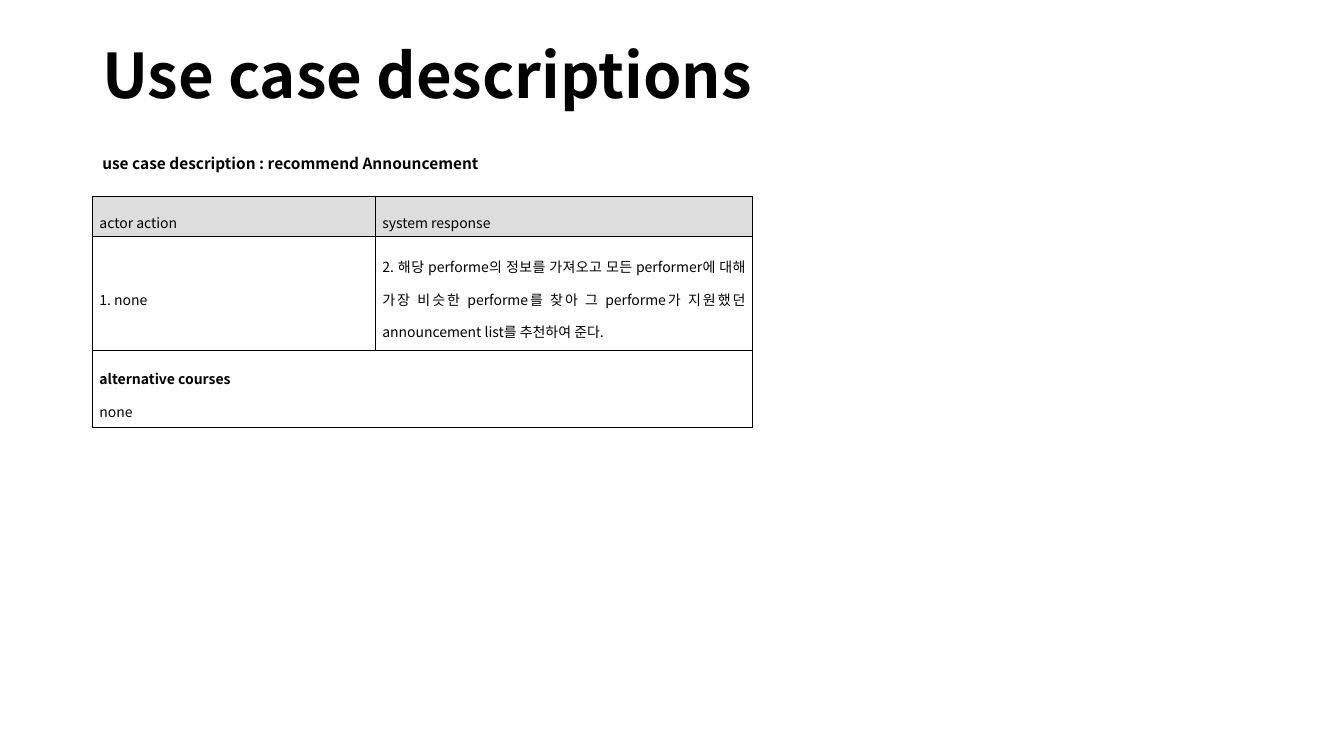
from lxml.etree import SubElement
from pptx import Presentation
from pptx.dml.color import RGBColor
from pptx.enum.text import MSO_ANCHOR, PP_ALIGN
from pptx.oxml.ns import qn
from pptx.util import Pt

COLORS = {"ink": "000000", "header": "DDDDDD"}
FONT = "Noto Sans CJK KR"


def style_paragraph(para, size, bold, spacing):
    para.line_spacing = spacing
    for span in para.runs:
        span.font.name = FONT
        span.font.size = Pt(size)
        span.font.bold = bold
        span.font.color.rgb = RGBColor.from_string(COLORS["ink"])
        SubElement(span.font._element, qn("a:ea"), typeface=FONT)


def add_borders(cell):
    properties = cell._tc.get_or_add_tcPr()
    for side in ("lnL", "lnR", "lnT", "lnB"):
        line = SubElement(properties, qn(f"a:{side}"), w=str(Pt(0.28)))
        fill = SubElement(line, qn("a:solidFill"))
        SubElement(fill, qn("a:srgbClr"), val=COLORS["ink"])


deck = Presentation()
deck.slide_width = Pt(960)
deck.slide_height = Pt(540)
page = deck.slides.add_slide(deck.slide_layouts[6])

headings = [
    ("Use case descriptions", 3.6, 104.4, 44, MSO_ANCHOR.MIDDLE, 0),
    ("use case description : recommend Announcement", 108, 378.7, 11, MSO_ANCHOR.TOP, 10),
]
for text, top, height, size, anchor, space_before in headings:
    box = page.shapes.add_textbox(Pt(66), Pt(top), Pt(828), Pt(height))
    frame = box.text_frame
    frame.word_wrap = True
    frame.vertical_anchor = anchor
    frame.text = text
    frame.paragraphs[0].space_before = Pt(space_before)
    style_paragraph(frame.paragraphs[0], size, True, 0.9)

column_widths = [202, 269.6]
row_heights = [28, 82, 55]
cell_texts = [
    ["actor action", "system response"],
    ["1. none", "2. 해당 performe의 정보를 가져오고 모든 performer에 대해 가장 비슷한 performe를 찾아 "
                "그 performe가 지원했던 announcement list를 추천하여 준다."],
    ["alternative courses\nnone", ""],
]
table = page.shapes.add_table(
    len(row_heights), len(column_widths), Pt(66), Pt(140.4),
    Pt(sum(column_widths)), Pt(sum(row_heights)),
).table
table.first_row = False
table.horz_banding = False
for column, width in zip(table.columns, column_widths):
    column.width = Pt(width)
for row, height in zip(table.rows, row_heights):
    row.height = Pt(height)
table.cell(2, 0).merge(table.cell(2, 1))

for row_index, texts in enumerate(cell_texts):
    for column_index, text in enumerate(texts):
        cell = table.cell(row_index, column_index)
        add_borders(cell)
        if row_index == 0:
            cell.fill.solid()
            cell.fill.fore_color.rgb = RGBColor.from_string(COLORS["header"])
        else:
            cell.fill.background()
        cell.margin_left = cell.margin_right = Pt(5.1)
        cell.margin_top = cell.margin_bottom = Pt(1.4)
        cell.vertical_anchor = MSO_ANCHOR.MIDDLE
        cell.text_frame.text = text
        for para in cell.text_frame.paragraphs:
            para.alignment = PP_ALIGN.JUSTIFY
            style_paragraph(para, 10, para.text == "alternative courses", 1.6)

deck.save("out.pptx")
